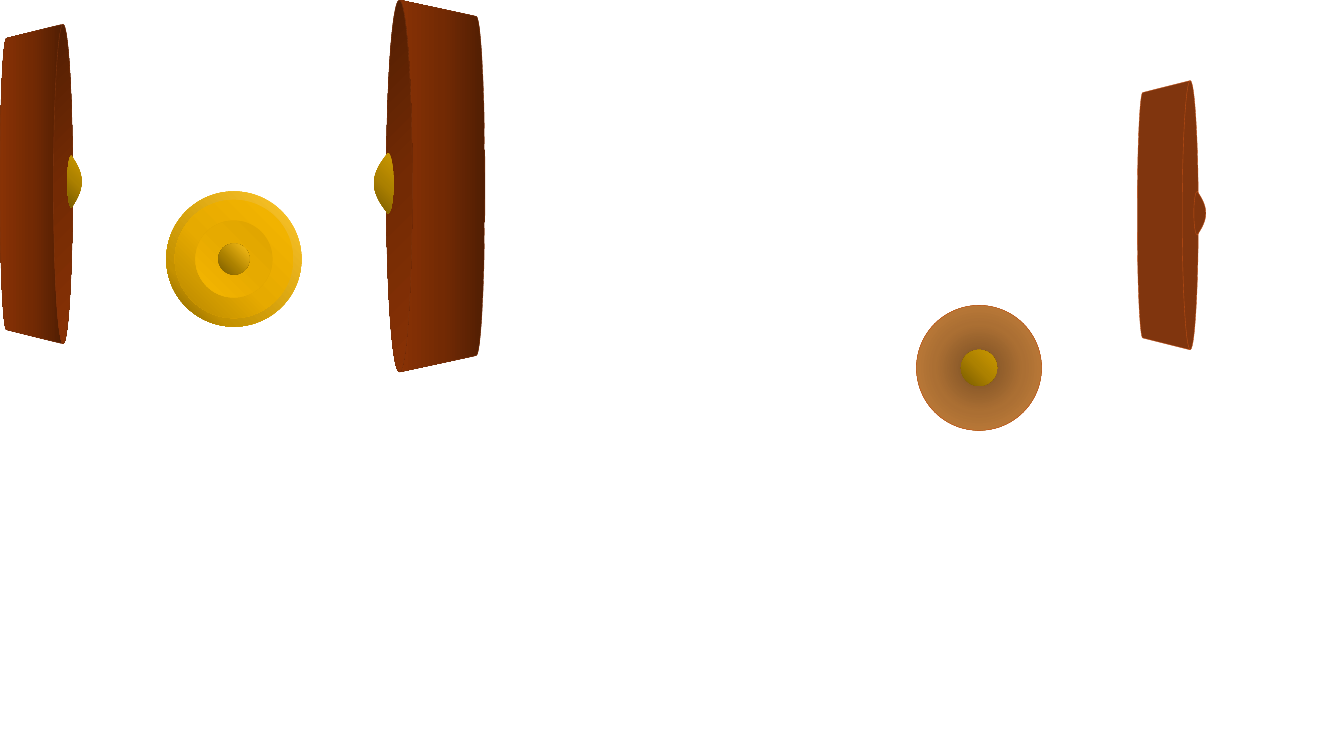
from dataclasses import dataclass

from lxml import etree
from pptx import Presentation
from pptx.dml.color import RGBColor
from pptx.enum.shapes import MSO_SHAPE
from pptx.oxml.ns import qn
from pptx.util import Inches, Pt

OVAL = MSO_SHAPE.OVAL
ROUND = 0.55
CENTRE = (50, 50, 50, 50)
LOWER_LEFT = (0, 100, 100, 0)


@dataclass(frozen=True)
class Paint:
    """Colour stops with either a direction on the slide or a focus rectangle."""

    stops: tuple
    angle: int = 0
    focus: tuple = ()


@dataclass(frozen=True)
class DrumStyle:
    """Paints and outline colours of a hanging drum."""

    body: Paint
    rim: Paint
    boss: Paint
    outline: str
    boss_outline: str = ""


WOOD = ((0, "511E03"), (50, "732A04"), (100, "883205"))
BRASS = ((0, "795B00"), (50, "AC8100"), (100, "CC9900"))
PLAIN_BROWN = Paint(((0, "80350E"),))


class Theme:
    """Colours and line width used on the slide."""

    outline_width = Pt(0.25)
    copper_outline = "C04F15"
    shaded = DrumStyle(Paint(WOOD, 180), Paint(WOOD, 45),
                       Paint(BRASS, focus=LOWER_LEFT), "80350E")
    plain = DrumStyle(PLAIN_BROWN, PLAIN_BROWN, PLAIN_BROWN,
                      copper_outline, copper_outline)
    copper_rings = (
        (1, Paint(((0, "784E24"), (50, "AB6F33"), (100, "CB843D")),
                  focus=CENTRE), copper_outline),
        (0.29, Paint(BRASS, 315), ""),
    )
    gold_rings = (
        (1, Paint(((0, "765700"), (23, "C49100"), (100, "FFC82D")),
                  focus=LOWER_LEFT), ""),
        (0.875, Paint(((0, "B48500"), (44, "E6AA00"), (100, "F6B600")),
                      focus=LOWER_LEFT), ""),
        (0.57, Paint(((0, "F6B600"), (55, "E6AA00"), (100, "DEA400")),
                     focus=LOWER_LEFT), ""),
        (0.23, Paint(((0, "795B00"), (40, "AC8100"), (100, "FFC319")), 315), ""),
    )


def apply_gradient(shape, paint):
    """Fill a shape with a directional or focused gradient."""
    shape.fill.gradient()
    gradient = shape.element.spPr.find(qn("a:gradFill"))
    for child in list(gradient):
        gradient.remove(child)
    gradient.set("rotWithShape", "1")
    stop_list = etree.SubElement(gradient, qn("a:gsLst"))
    for position, colour in paint.stops:
        stop = etree.SubElement(stop_list, qn("a:gs"), pos=str(position * 1000))
        etree.SubElement(stop, qn("a:srgbClr"), val=colour)
    if paint.focus:
        route = etree.SubElement(gradient, qn("a:path"), attrib={"path": "circle"})
        edges = {side: str(value * 1000) for side, value in zip("ltrb", paint.focus)}
        etree.SubElement(route, qn("a:fillToRect"), attrib=edges)
    else:
        angle = int(paint.angle - shape.rotation) % 360
        etree.SubElement(gradient, qn("a:lin"), ang=str(angle * 60000), scaled="0")


def finish(shape, paint, outline):
    """Apply fill and outline and remove the shadow."""
    shape.shadow.inherit = False
    if len(paint.stops) == 1:
        shape.fill.solid()
        shape.fill.fore_color.rgb = RGBColor.from_string(paint.stops[0][1])
    else:
        apply_gradient(shape, paint)
    if outline:
        shape.line.color.rgb = RGBColor.from_string(outline)
        shape.line.width = Theme.outline_width
    else:
        shape.line.fill.background()


def add_oval(shapes, box, paint, outline):
    """Add a painted ellipse in a box given in inches."""
    finish(shapes.add_shape(OVAL, *map(Inches, box)), paint, outline)


def turned(point, pivot, rotation):
    """Return where a point lies before a clockwise quarter turn about a pivot."""
    if not rotation:
        return point
    sign = 1 if rotation == 90 else -1
    x, y = point[0] - pivot[0], point[1] - pivot[1]
    return pivot[0] + sign * y, pivot[1] - sign * x


def add_outline(shapes, start, segments, paint, outline, pivot=None, rotation=0):
    """Add a closed outline of lines (one point) and curves (three points)."""
    points = [start] + [point for segment in segments for point in segment]
    corners = [tuple(map(Inches, turned(point, pivot, rotation))) for point in points]
    builder = shapes.build_freeform(*corners[0], scale=1.0)
    builder.add_line_segments(corners[1:], close=True)
    shape = builder.convert_to_shape()
    lines = iter(list(shape.element.iter(qn("a:lnTo"))))
    for segment in segments:
        steps = [next(lines) for _ in segment]
        if len(steps) == 3:
            curve = etree.Element(qn("a:cubicBezTo"))
            steps[0].addprevious(curve)
            for step in steps:
                curve.append(step[0])
                step.getparent().remove(step)
    shape.rotation = rotation
    finish(shape, paint, outline)


def half_ellipse(base, tip, start, end):
    """Return two curves from start to end height, bulging from base to tip."""
    middle = (start + end) / 2
    bulge, reach = base + (tip - base) * ROUND, (end - start) / 2 * ROUND
    return [[(bulge, start), (tip, middle - reach), (tip, middle)],
            [(tip, middle + reach), (bulge, end), (base, end)]]


def dome(base, tip, start, end):
    """Return two curves from start to end height along a pointed dome."""
    middle, height = (start + end) / 2, end - start
    halfway = (base + tip) / 2
    return [[(halfway, start + 0.15 * height), (tip, start + 0.31 * height),
             (tip, middle)],
            [(tip, end - 0.31 * height), (halfway, end - 0.15 * height), (base, end)]]


def add_drum(shapes, box, style, faces_right=True):
    """Draw a drum seen from the side, with its boss on the facing side."""
    left, top, width, height = box

    def across(share):
        """Return the x at a share of the way from back to boss."""
        return left + width * (share if faces_right else 1 - share)

    def down(share):
        """Return the y at a share of the drum height."""
        return top + height * share

    face, seam = across(0.77), across(0.08)
    back_curves = half_ellipse(seam, across(0), down(0.956), down(0.044))
    body = [[(face, down(1))], [(seam, down(0.956))], *back_curves]
    pivot = ((face + across(0)) / 2, down(0.5))
    add_outline(shapes, (face, top), body, style.body, style.outline,
                pivot, 270 if faces_right else 90)

    rim_left = min(across(0.655), across(0.89))
    add_oval(shapes, (rim_left, top, 0.235 * width, height), style.rim, style.outline)

    base, boss_top, boss_bottom = across(0.875), down(0.411), down(0.574)
    boss = dome(base, across(1), boss_top, boss_bottom)
    boss += half_ellipse(base, across(0.825), boss_bottom, boss_top)
    add_outline(shapes, (base, boss_top), boss, style.boss, style.boss_outline)


def add_gong(shapes, box, rings):
    """Draw concentric rings centred in a square box."""
    left, top, size = box
    for share, paint, outline in rings:
        margin, diameter = size * (1 - share) / 2, size * share
        add_oval(shapes, (left + margin, top + margin, diameter, diameter),
                 paint, outline)


def main():
    """Build the slide of drums and gongs."""
    presentation = Presentation()
    presentation.slide_width, presentation.slide_height = Inches(13.33), Inches(7.5)
    slide = presentation.slides.add_slide(presentation.slide_layouts[6])

    copper_gong = slide.shapes.add_group_shape().shapes
    add_gong(copper_gong, (9.09, 3.03, 1.24), Theme.copper_rings)
    plain_drum = slide.shapes.add_group_shape().shapes
    add_drum(plain_drum, (11.28, 0.8, 0.68, 2.67), Theme.plain)
    gong_set = slide.shapes.add_group_shape().shapes
    add_drum(gong_set, (0, 0.24, 0.81, 3.17), Theme.shaded)
    add_drum(gong_set, (3.71, 0, 1.1, 3.69), Theme.shaded, faces_right=False)
    add_gong(gong_set, (1.65, 1.9, 1.34), Theme.gold_rings)
    presentation.save("out.pptx")


if __name__ == "__main__":
    main()
